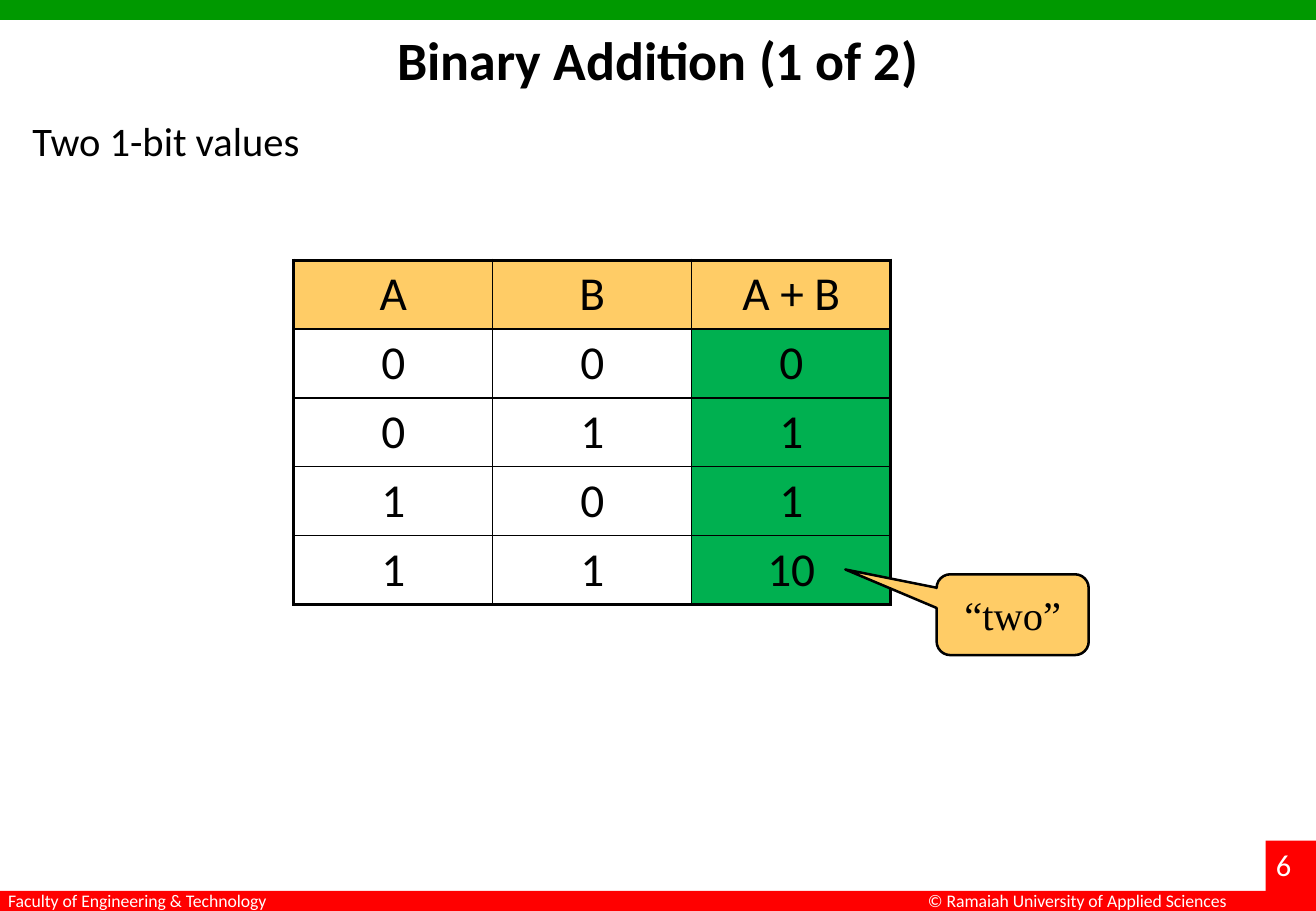
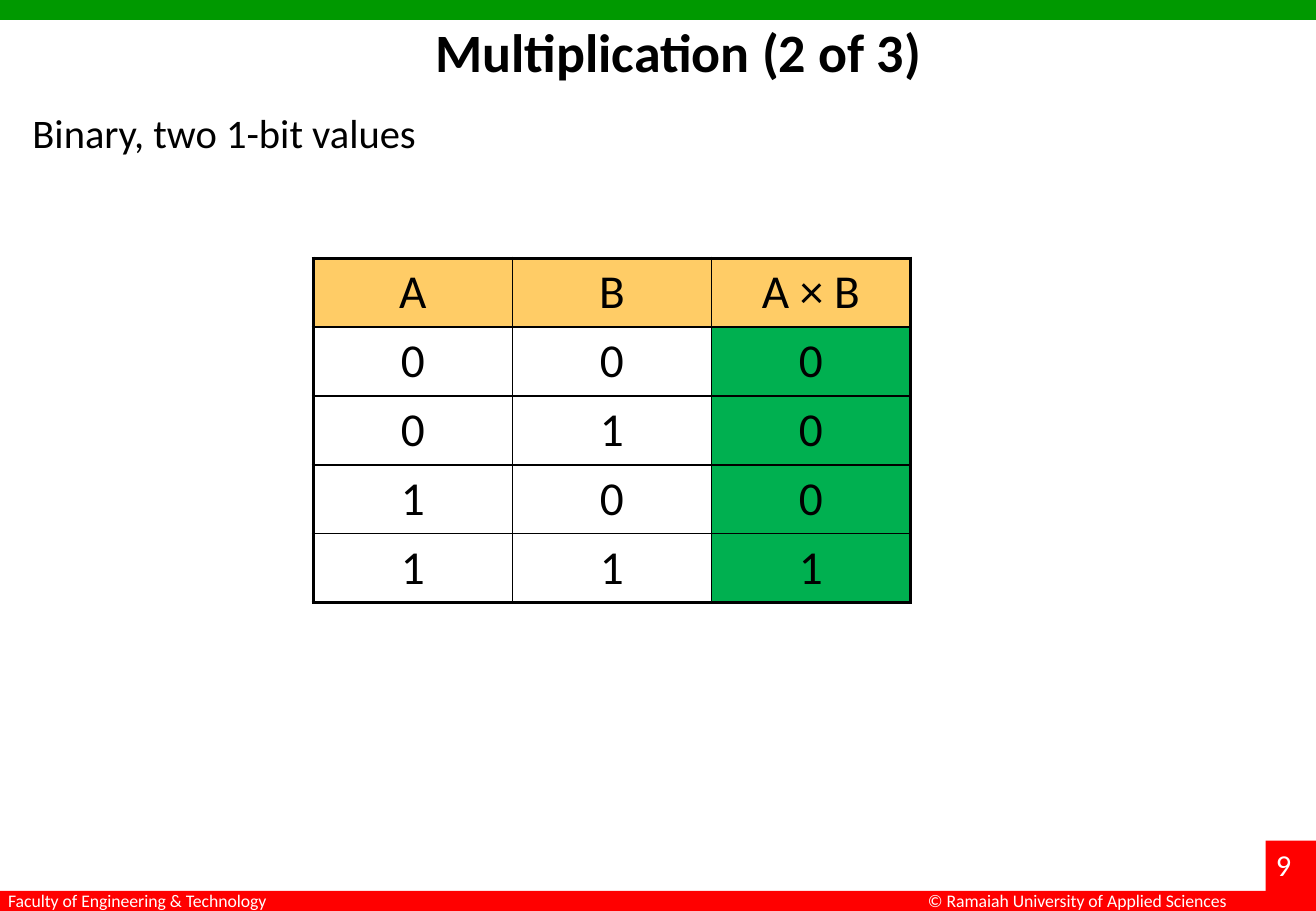
"""Build two slides with truth tables for binary addition and multiplication."""
import lxml.etree
import pptx
import pptx.dml.color
import pptx.enum.shapes
import pptx.enum.text
import pptx.oxml.ns
import pptx.util

Cm, Pt = pptx.util.Cm, pptx.util.Pt
PP_ALIGN = pptx.enum.text.PP_ALIGN
MSO_ANCHOR = pptx.enum.text.MSO_ANCHOR
MSO_SHAPE = pptx.enum.shapes.MSO_SHAPE

WIDTH, HEIGHT = 27.51, 19.05
BAND = 0.42
BLACK, WHITE, GREEN, RED = "000000", "FFFFFF", "009900", "FF0000"
AMBER, RESULT = "FFCC66", "00B050"
COL_W, ROW_H = 4.16, 1.44
OUTER, INNER = 2.25, 1

BANDS = [
    (0, 0, WIDTH, BAND, GREEN),
    (0, HEIGHT - BAND, WIDTH, BAND, RED),
    (26.46, 17.58, 1.05, 1.47, RED),
]
FOOTERS = [
    ("Faculty of Engineering & Technology", -0.08, 18.49, 6.05, 0.71),
    ("© Ramaiah University of Applied Sciences", 19.15, 18.49, 6.86, 0.71),
]
INPUTS = [("0", "0"), ("0", "1"), ("1", "0"), ("1", "1")]
SLIDES = [
    {
        "number": "6",
        "title": ("Binary Addition (1 of 2)", 1.37, 0.43),
        "lead": ("Two 1-bit values", 0.43, 2.31, 6.15, 1.27),
        "head": "A + B",
        "results": ["0", "1", "1", "10"],
        "table_at": (6.14, 5.44),
        "callout": ("“two”", 19.58, 12.01, 3.18, 1.69),
    },
    {
        "number": "9",
        "title": ("Multiplication (2 of 3)", 1.8, 0.25),
        "lead": ("Binary, two 1-bit values", 0.43, 2.13, 8.61, 1.27),
        "head": "A × B",
        "results": ["0", "0", "0", "1"],
        "table_at": (6.55, 5.4),
    },
]


def rgb(value):
    return pptx.dml.color.RGBColor.from_string(value)


def write(tf, text, size, color=BLACK, align=PP_ALIGN.LEFT, bold=False, name="Calibri"):
    tf.text = text
    p = tf.paragraphs[0]
    p.alignment = align
    font = p.runs[0].font
    font.name, font.size, font.bold = name, Pt(size), bold
    font.color.rgb = rgb(color)


def add_text(slide, text, x, y, w, h, size, color=BLACK):
    sp = slide.shapes.add_textbox(Cm(x), Cm(y), Cm(w), Cm(h))
    sp.text_frame.word_wrap = False
    write(sp.text_frame, text, size, color)
    return sp


def add_filled(slide, kind, x, y, w, h, color):
    sp = slide.shapes.add_shape(kind, Cm(x), Cm(y), Cm(w), Cm(h))
    sp.shadow.inherit = False
    sp.fill.solid()
    sp.fill.fore_color.rgb = rgb(color)
    sp.line.fill.background()
    return sp


def move_frame_to_master(prs, slide):
    parts = [add_filled(slide, MSO_SHAPE.RECTANGLE, *band) for band in BANDS]
    parts += [add_text(slide, *footer, 10.5, WHITE) for footer in FOOTERS]
    for sp in parts:
        prs.slide_master.element.cSld.spTree.append(sp.element)


def set_borders(cell, widths):
    tc_pr = cell._tc.get_or_add_tcPr()
    for i, (side, width) in enumerate(zip("LRTB", widths)):
        ln = lxml.etree.Element(pptx.oxml.ns.qn(f"a:ln{side}"), w=str(Pt(width)))
        fill = lxml.etree.SubElement(ln, pptx.oxml.ns.qn("a:solidFill"))
        lxml.etree.SubElement(fill, pptx.oxml.ns.qn("a:srgbClr"), val=BLACK)
        tc_pr.insert(i, ln)


def add_truth_table(slide, head, results, at):
    rows = [("A", "B", head)] + [(*pair, res) for pair, res in zip(INPUTS, results)]
    n_rows, n_cols = len(rows), len(rows[0])
    x, y = at
    table = slide.shapes.add_table(
        n_rows, n_cols, Cm(x), Cm(y), Cm(COL_W * n_cols), Cm(ROW_H * n_rows)
    ).table
    table.first_row = table.horz_banding = False
    for column in table.columns:
        column.width = Cm(COL_W)
    for i, row in enumerate(rows):
        table.rows[i].height = Cm(ROW_H)
        for j, text in enumerate(row):
            cell = table.cell(i, j)
            cell.margin_top = cell.margin_bottom = Cm(0.11)
            cell.vertical_anchor = MSO_ANCHOR.MIDDLE
            write(cell.text_frame, text, 28, align=PP_ALIGN.CENTER)
            color = AMBER if i == 0 else RESULT if j == n_cols - 1 else None
            if color:
                cell.fill.solid()
                cell.fill.fore_color.rgb = rgb(color)
            else:
                cell.fill.background()
            edges = (j == 0, j == n_cols - 1, i == 0, i == n_rows - 1)
            set_borders(cell, [OUTER if edge else INNER for edge in edges])


def add_callout(slide, text, x, y, w, h):
    sp = add_filled(slide, MSO_SHAPE.ROUNDED_RECTANGULAR_CALLOUT, x, y, w, h, AMBER)
    for i, value in enumerate((-1.1, -0.56, 0.17)):
        sp.adjustments[i] = value
    sp.line.color.rgb = rgb(BLACK)
    sp.line.width = Pt(1.5)
    sp.text_frame.vertical_anchor = MSO_ANCHOR.MIDDLE
    write(sp.text_frame, text, 24, align=PP_ALIGN.CENTER, name="Times New Roman")


def set_title(slide, text, x, y):
    sp = slide.shapes.title
    sp.left, sp.top, sp.width, sp.height = Cm(x), Cm(y), Cm(24.77), Cm(3.18)
    tf = sp.text_frame
    tf.auto_size = pptx.enum.text.MSO_AUTO_SIZE.NONE
    tf.vertical_anchor = MSO_ANCHOR.TOP
    write(tf, text, 32, align=PP_ALIGN.CENTER, bold=True)


def main():
    prs = pptx.Presentation()
    prs.slide_width, prs.slide_height = Cm(WIDTH), Cm(HEIGHT)
    for i, data in enumerate(SLIDES):
        slide = prs.slides.add_slide(prs.slide_layouts[5])
        if i == 0:
            move_frame_to_master(prs, slide)
        set_title(slide, *data["title"])
        add_text(slide, data["number"], 26.42, 17.58, 1.27, 1.02, 18, WHITE)
        add_text(slide, *data["lead"], 24)
        add_truth_table(slide, data["head"], data["results"], data["table_at"])
        if "callout" in data:
            add_callout(slide, *data["callout"])
    prs.save("out.pptx")


if __name__ == "__main__":
    main()
